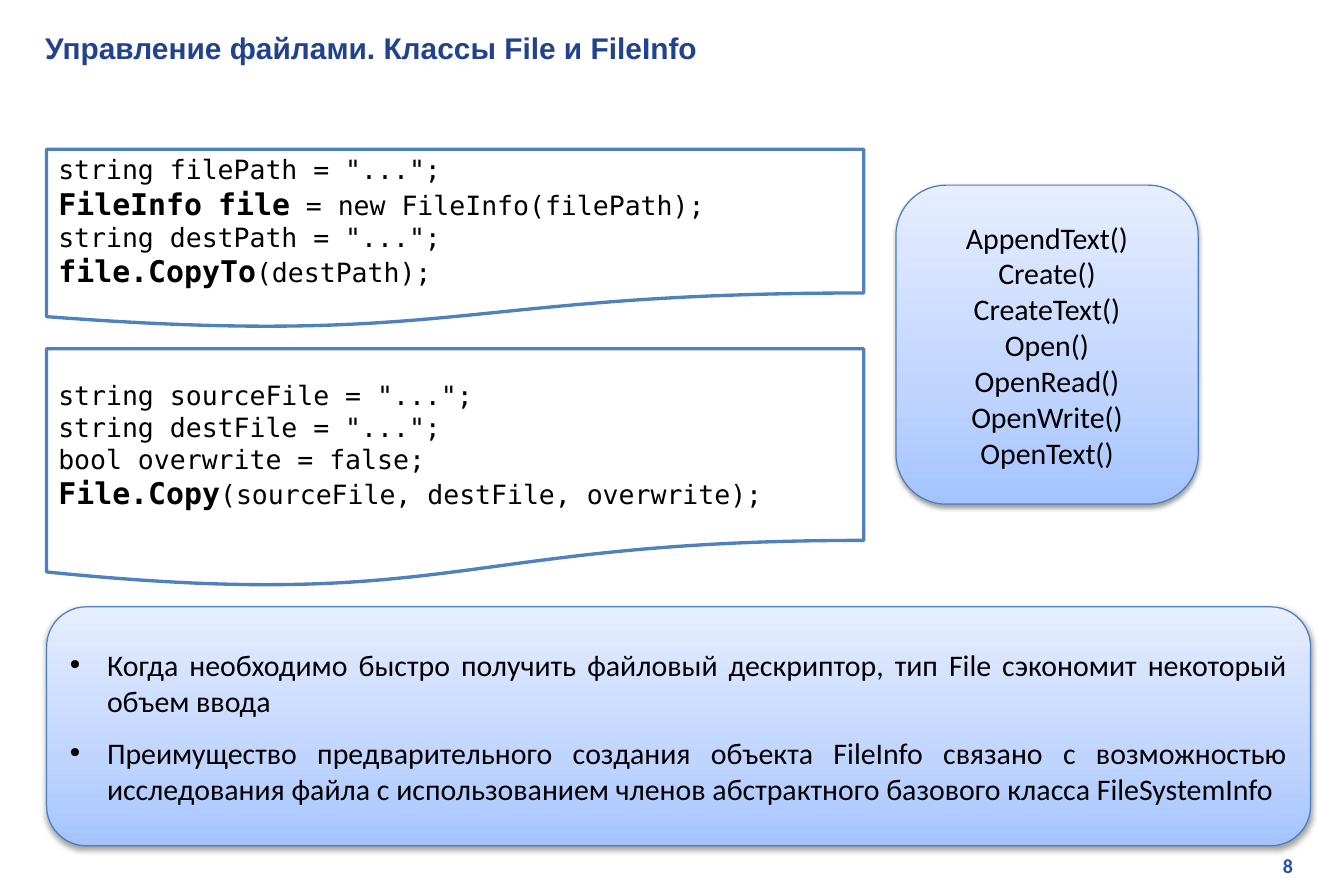
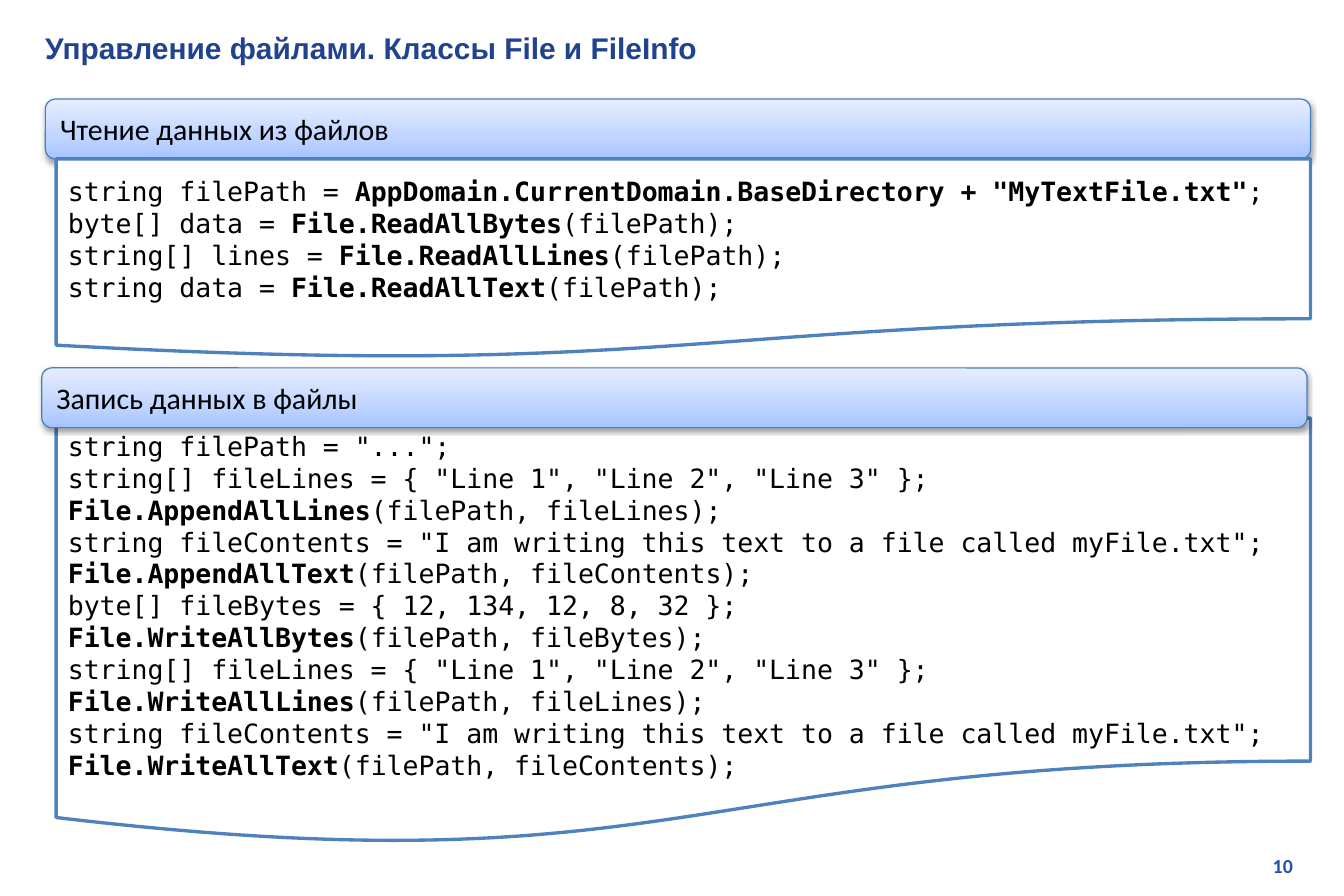
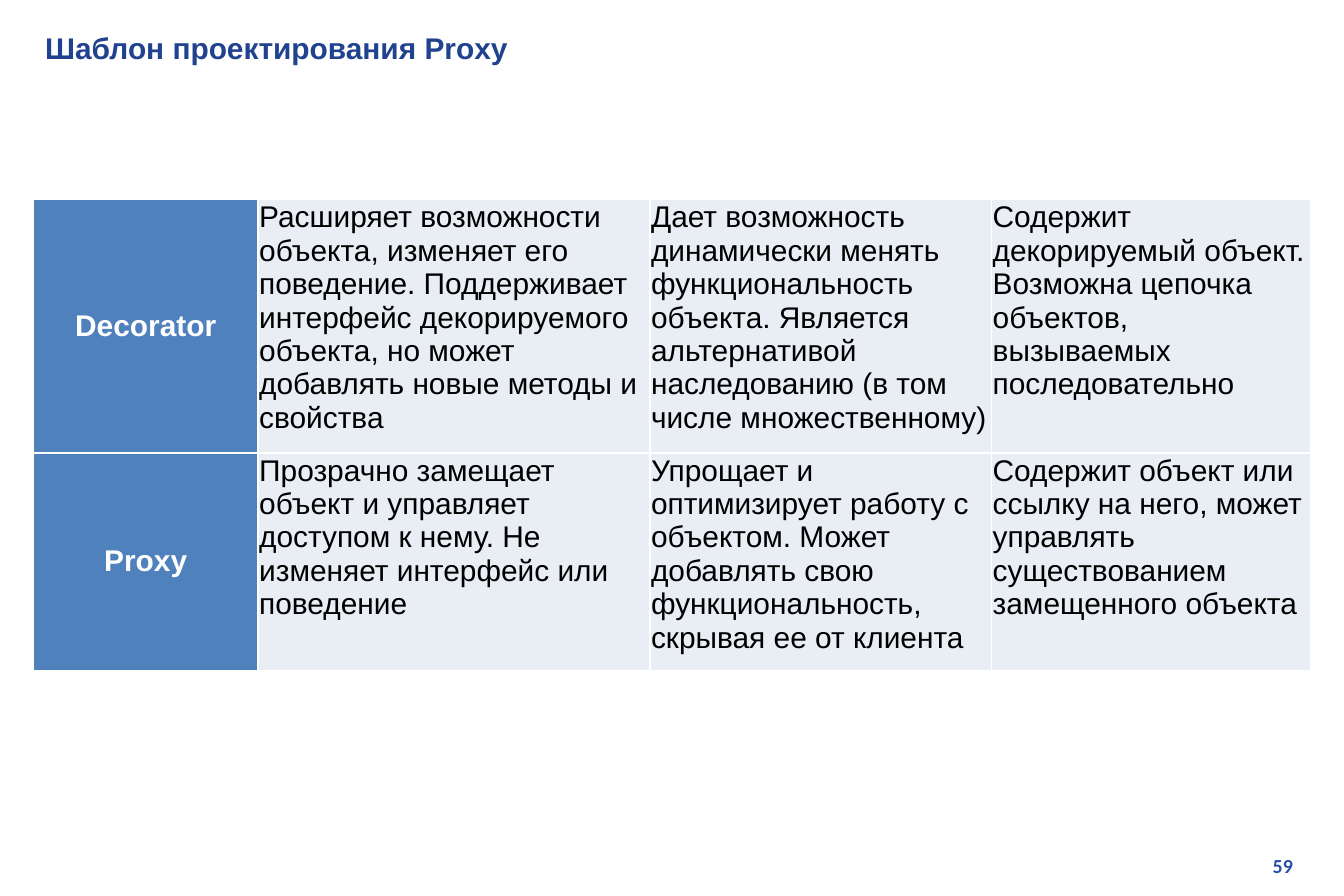
from dataclasses import dataclass

from lxml.etree import SubElement
from pptx import Presentation
from pptx.dml.color import RGBColor
from pptx.enum.shapes import MSO_SHAPE
from pptx.enum.text import MSO_ANCHOR, PP_ALIGN
from pptx.oxml.ns import qn
from pptx.util import Inches, Pt


@dataclass(frozen=True)
class Theme:
    title: str = "21438F"
    number: str = "2750AB"
    text: str = "000000"
    white: str = "FFFFFF"
    accent: str = "4F81BD"
    panel_line: str = "4B7EBC"
    cell: str = "E9EDF4"
    gradient: tuple = ((0, "A4C4FF"), (35, "BFD4FF"), (100, "E6EEFF"))
    heading_font: str = "Arial"
    body_font: str = "Calibri"
    code_font: str = "DejaVu Sans Mono"
    body_size: int = 18
    code_size: int = 16
    number_size: int = 12


THEME = Theme()
FILES_TITLE = "Управление файлами. Классы File и FileInfo"

COPY_TO_CODE = [
    'string filePath = "...";',
    "**FileInfo** **file** = new FileInfo(filePath);",
    'string destPath = "...";',
    "**file.CopyTo**(destPath);",
]
COPY_CODE = [
    'string sourceFile = "...";',
    'string destFile = "...";',
    "bool overwrite = false;",
    "**File.Copy**(sourceFile, destFile, overwrite);",
]
METHODS = [
    "AppendText()", "Create()", "CreateText()", "Open()",
    "OpenRead()", "OpenWrite()", "OpenText()",
]
ADVICE = [
    "Когда необходимо быстро получить файловый дескриптор, тип File сэкономит "
    "некоторый объем ввода",
    "Преимущество предварительного создания объекта FileInfo связано с возможностью "
    "исследования файла с использованием членов абстрактного базового класса "
    "FileSystemInfo",
]
READ_CODE = [
    'string filePath = **AppDomain.CurrentDomain.BaseDirectory + "MyTextFile.txt"**;',
    "byte[] data = **File.ReadAllBytes**(filePath);",
    "string[] lines = **File.ReadAllLines**(filePath);",
    "string data = **File.ReadAllText**(filePath);",
]
LINES_CODE = 'string[] fileLines = { "Line 1", "Line 2", "Line 3" };'
CONTENTS_CODE = (
    'string fileContents = "I am writing this text to a file called myFile.txt";'
)
WRITE_CODE = [
    'string filePath = "...";',
    LINES_CODE,
    "**File.AppendAllLines**(filePath, fileLines);",
    CONTENTS_CODE,
    "**File.AppendAllText**(filePath, fileContents);",
    "byte[] fileBytes = { 12, 134, 12, 8, 32 };",
    "**File.WriteAllBytes**(filePath, fileBytes);",
    LINES_CODE,
    "**File.WriteAllLines**(filePath, fileLines);",
    CONTENTS_CODE,
    "**File.WriteAllText**(filePath, fileContents);",
]
PATTERNS = [
    (
        "Decorator",
        "Расширяет возможности объекта, изменяет его поведение. Поддерживает интерфейс "
        "декорируемого объекта, но может добавлять новые методы и свойства",
        "Дает возможность динамически менять функциональность объекта. Является "
        "альтернативой наследованию (в том числе множественному)",
        "Содержит декорируемый объект. Возможна цепочка объектов, вызываемых "
        "последовательно",
    ),
    (
        "Proxy",
        "Прозрачно замещает объект и управляет доступом к нему. Не изменяет интерфейс "
        "или поведение",
        "Упрощает и оптимизирует работу с объектом. Может добавлять свою "
        "функциональность, скрывая ее от клиента",
        "Содержит объект или ссылку на него, может управлять существованием "
        "замещенного объекта",
    ),
]
COLUMN_WIDTHS = [1.88, 3.28, 2.86, 2.67]
ROW_HEIGHTS = [2, 1.79]


def rgb(value):
    return RGBColor.from_string(value)


def box(*lengths):
    return [Inches(length) for length in lengths]


def write(frame, lines, *, font=THEME.body_font, size=THEME.body_size,
          color=THEME.text, bold=False, bold_size=None, align=PP_ALIGN.LEFT,
          after=0, bullet=False):
    for index, line in enumerate(lines):
        paragraph = frame.add_paragraph() if index else frame.paragraphs[0]
        paragraph.alignment = align
        paragraph.space_after = Pt(after)
        if bullet:
            properties = paragraph._p.get_or_add_pPr()
            properties.set("marL", str(Inches(0.31)))
            properties.set("indent", str(-Inches(0.31)))
            SubElement(properties, qn("a:buFont")).set("typeface", "Arial")
            SubElement(properties, qn("a:buChar")).set("char", "•")
        for position, part in enumerate(line.split("**")):
            if not part:
                continue
            marked = position % 2 == 1
            run = paragraph.add_run()
            run.text = part
            run.font.name = font
            run.font.size = Pt(bold_size if marked and bold_size else size)
            run.font.bold = bold or marked
            run.font.color.rgb = rgb(color)


def add_label(slide, at, text, **style):
    frame = slide.shapes.add_textbox(*box(*at)).text_frame
    frame.word_wrap = True
    write(frame, [text], bold=True, **style)


def add_outline(slide, preset, at, line_color, line_width):
    shape = slide.shapes.add_shape(preset, *box(*at))
    shape.shadow.inherit = False
    shape.line.color.rgb = rgb(line_color)
    shape.line.width = Pt(line_width)
    shape.text_frame.word_wrap = True
    shape.text_frame.vertical_anchor = MSO_ANCHOR.MIDDLE
    return shape


def add_code(slide, at, lines, bold_size=None, top_inset=0.05):
    shape = add_outline(slide, MSO_SHAPE.FLOWCHART_DOCUMENT, at, THEME.accent, 2)
    shape.fill.solid()
    shape.fill.fore_color.rgb = rgb(THEME.white)
    shape.text_frame.margin_top = Inches(top_inset)
    write(shape.text_frame, lines, font=THEME.code_font, size=THEME.code_size,
          bold_size=bold_size)


def add_panel(slide, at, lines, **style):
    shape = add_outline(slide, MSO_SHAPE.ROUNDED_RECTANGLE, at, THEME.panel_line, 0.75)
    shape.fill.gradient()
    shape.fill.gradient_angle = 90
    properties = shape._element.spPr
    stops = properties.find(".//" + qn("a:gsLst"))
    for stop in list(stops):
        stops.remove(stop)
    for percent, color in THEME.gradient:
        stop = SubElement(stops, qn("a:gs"), pos=str(percent * 1000))
        SubElement(stop, qn("a:srgbClr"), val=color)
    shadow = SubElement(
        properties.find(qn("a:effectLst")), qn("a:outerShdw"),
        blurRad=str(Pt(3.1)), dist=str(Pt(1.6)), dir="5400000", rotWithShape="0",
    )
    shade = SubElement(shadow, qn("a:srgbClr"), val=THEME.text)
    SubElement(shade, qn("a:alpha"), val="38000")
    write(shape.text_frame, lines, **style)


def add_borders(cell):
    properties = cell._tc.get_or_add_tcPr()
    for index, side in enumerate(("lnL", "lnR", "lnT", "lnB")):
        border = properties.makeelement(qn("a:" + side), {"w": str(Pt(1))})
        properties.insert(index, border)
        fill = SubElement(border, qn("a:solidFill"))
        SubElement(fill, qn("a:srgbClr"), val=THEME.white)


def add_pattern_table(slide):
    at = (0.28, 1.67, sum(COLUMN_WIDTHS), sum(ROW_HEIGHTS))
    table = slide.shapes.add_table(len(PATTERNS), len(COLUMN_WIDTHS), *box(*at)).table
    table.first_row = False
    table.horz_banding = False
    for column, width in zip(table.columns, COLUMN_WIDTHS):
        column.width = Inches(width)
    for row, height, texts in zip(table.rows, ROW_HEIGHTS, PATTERNS):
        row.height = Inches(height)
        for index, (cell, text) in enumerate(zip(row.cells, texts)):
            heading = index == 0
            cell.margin_left = cell.margin_right = Inches(0.01)
            cell.margin_top = cell.margin_bottom = Inches(0.01)
            cell.vertical_anchor = MSO_ANCHOR.MIDDLE if heading else MSO_ANCHOR.TOP
            cell.fill.solid()
            cell.fill.fore_color.rgb = rgb(THEME.accent if heading else THEME.cell)
            add_borders(cell)
            write(cell.text_frame, [text], font=THEME.heading_font, bold=heading,
                  color=THEME.white if heading else THEME.text,
                  align=PP_ALIGN.CENTER if heading else PP_ALIGN.LEFT)


def add_slide(presentation, title, number):
    slide = presentation.slides.add_slide(presentation.slide_layouts[6])
    add_label(slide, (8.54, 7.1, 2.38, 0.3), str(number), size=THEME.number_size,
              color=THEME.number, align=PP_ALIGN.RIGHT)
    add_label(slide, (0.28, 0.2, 10.74, 0.4), title, font=THEME.heading_font,
              color=THEME.title)
    return slide


def main():
    presentation = Presentation()
    presentation.slide_width, presentation.slide_height = box(11.25, 7.5)
    justified = {"align": PP_ALIGN.JUSTIFY, "after": 10}

    slide = add_slide(presentation, FILES_TITLE, 8)
    add_code(slide, (0.39, 1.25, 6.84, 1.5), COPY_TO_CODE, THEME.body_size)
    add_code(slide, (0.39, 2.92, 6.84, 2), COPY_CODE, THEME.body_size)
    add_panel(slide, (7.5, 1.55, 2.53, 2.67), METHODS, align=PP_ALIGN.CENTER)
    add_panel(slide, (0.39, 5.08, 10.58, 2), ADVICE, bullet=True, **justified)

    slide = add_slide(presentation, FILES_TITLE, 10)
    add_panel(slide, (0.38, 0.83, 10.59, 0.5), ["Чтение данных из файлов"], **justified)
    add_code(slide, (0.47, 1.33, 10.5, 1.67), READ_CODE)
    add_code(slide, (0.47, 3.5, 10.5, 3.58), WRITE_CODE, top_inset=0.31)
    add_panel(slide, (0.35, 3.08, 10.59, 0.5), ["Запись данных в файлы"], **justified)

    add_pattern_table(add_slide(presentation, "Шаблон проектирования Proxy", 59))
    presentation.save("out.pptx")


if __name__ == "__main__":
    main()
